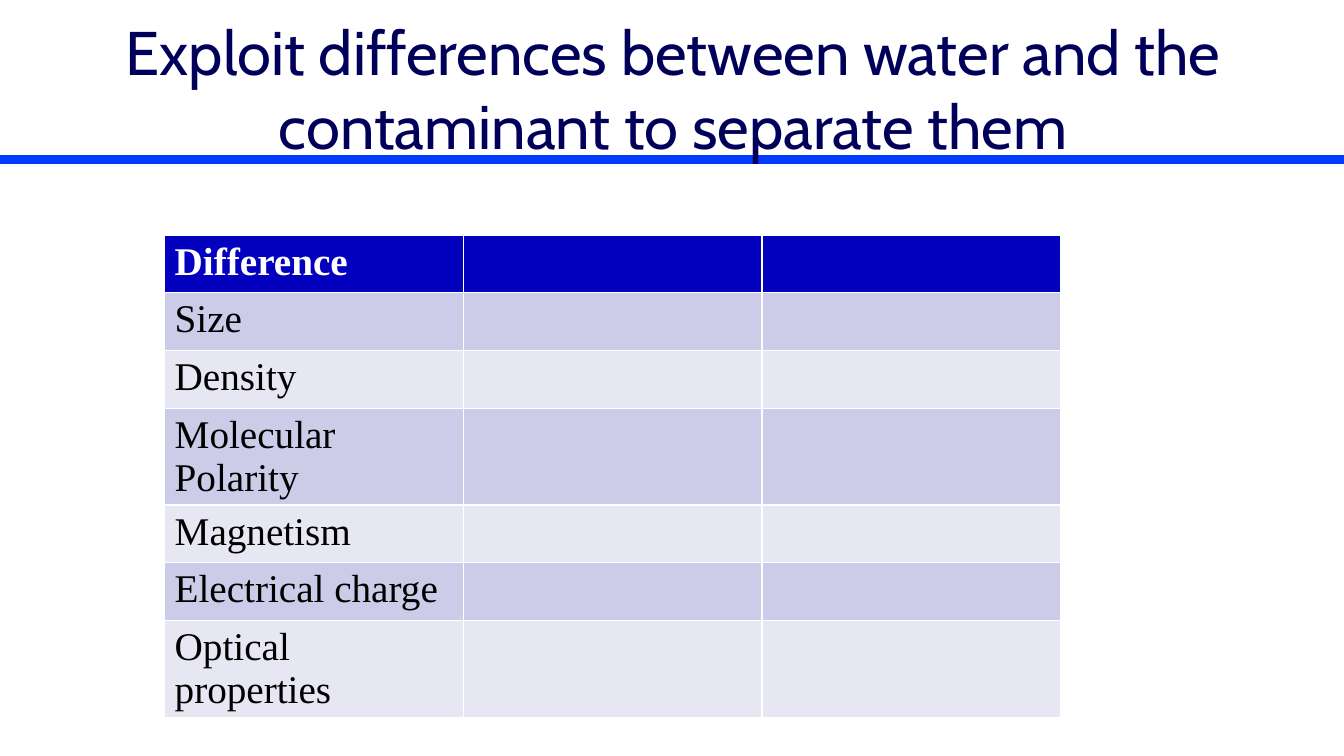
"""Build a slide with a table of differences between water and contaminants."""
from lxml import etree
from pptx import Presentation
from pptx.dml.color import RGBColor
from pptx.enum.shapes import MSO_CONNECTOR
from pptx.enum.text import MSO_ANCHOR, MSO_AUTO_SIZE, PP_ALIGN
from pptx.oxml.ns import qn
from pptx.util import Pt

STRAIGHT = MSO_CONNECTOR.STRAIGHT
MIDDLE = MSO_ANCHOR.MIDDLE
NO_AUTOFIT = MSO_AUTO_SIZE.NONE
CENTER = PP_ALIGN.CENTER

COLORS = {
    "rule": "003CFE",
    "title": "00005A",
    "header": "0300BE",
    "odd band": "CCCCE8",
    "even band": "E7E7F4",
    "header text": "FFFFFF",
    "body text": "000000",
}
DIFFERENCES = ["Difference", "Size", "Density", "Molecular Polarity",
               "Magnetism", "Electrical charge", "Optical properties"]
TWO_LINE_ROWS = ["Molecular Polarity", "Optical properties"]
COLUMN_COUNT = 3
ROW_HEIGHT = 41.2
TWO_LINE_HEIGHT = 69


def set_font(paragraph, name, size, color, bold=False):
    paragraph.font.name = name
    paragraph.font.size = Pt(size)
    paragraph.font.bold = bold
    paragraph.font.color.rgb = RGBColor.from_string(COLORS[color])


presentation = Presentation()
presentation.slide_width = Pt(960)
presentation.slide_height = Pt(540)
slide = presentation.slides.add_slide(presentation.slide_layouts[5])

title = slide.shapes.title
title.left, title.top, title.width, title.height = Pt(36), Pt(18), Pt(890), Pt(90)
title_frame = title.text_frame
title_frame.text = "Exploit differences between water and the contaminant to separate them"
title_frame.word_wrap = True
title_frame.auto_size = NO_AUTOFIT
title_frame.vertical_anchor = MIDDLE
title_frame.paragraphs[0].alignment = CENTER
set_font(title_frame.paragraphs[0], "Cabin", 44, "title")

rule = slide.shapes.add_connector(STRAIGHT, Pt(0), Pt(114), Pt(960), Pt(114))
rule.line.width = Pt(6)
rule.line.color.rgb = RGBColor.from_string(COLORS["rule"])
etree.SubElement(rule._element.spPr, qn("a:effectLst"))
title._element.addprevious(rule._element)

heights = [TWO_LINE_HEIGHT if difference in TWO_LINE_ROWS else ROW_HEIGHT
           for difference in DIFFERENCES]
table = slide.shapes.add_table(len(DIFFERENCES), COLUMN_COUNT, Pt(117.6), Pt(168),
                               Pt(640), Pt(sum(heights))).table
for row_index, difference in enumerate(DIFFERENCES):
    row = table.rows[row_index]
    row.height = Pt(heights[row_index])
    is_header = row_index == 0
    band = "header" if is_header else "odd band" if row_index % 2 else "even band"
    for cell in row.cells:
        cell.fill.solid()
        cell.fill.fore_color.rgb = RGBColor.from_string(COLORS[band])
    label = row.cells[0].text_frame
    label.text = difference
    text_color = "header text" if is_header else "body text"
    set_font(label.paragraphs[0], "Times New Roman", 28, text_color, is_header)

presentation.save("out.pptx")
